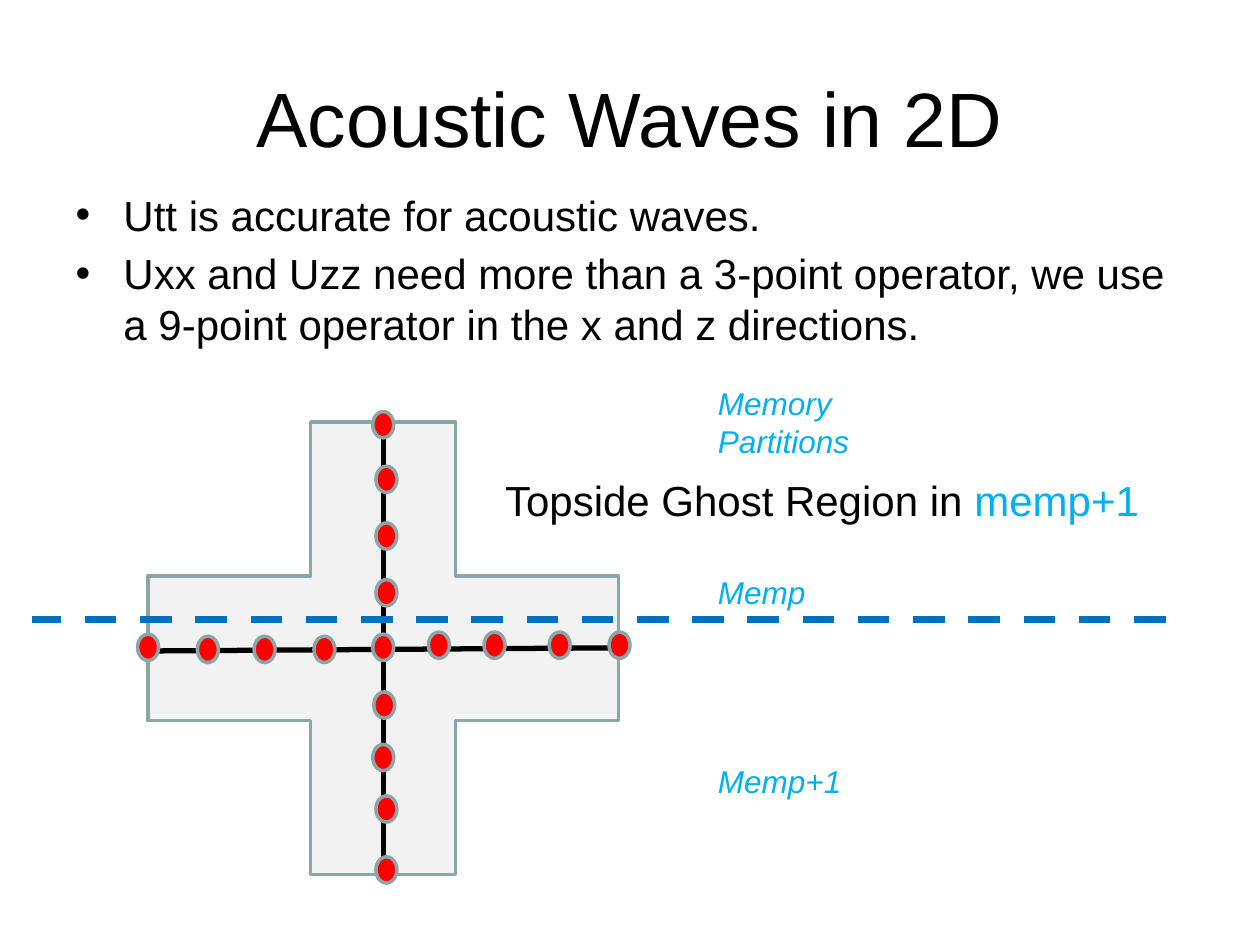
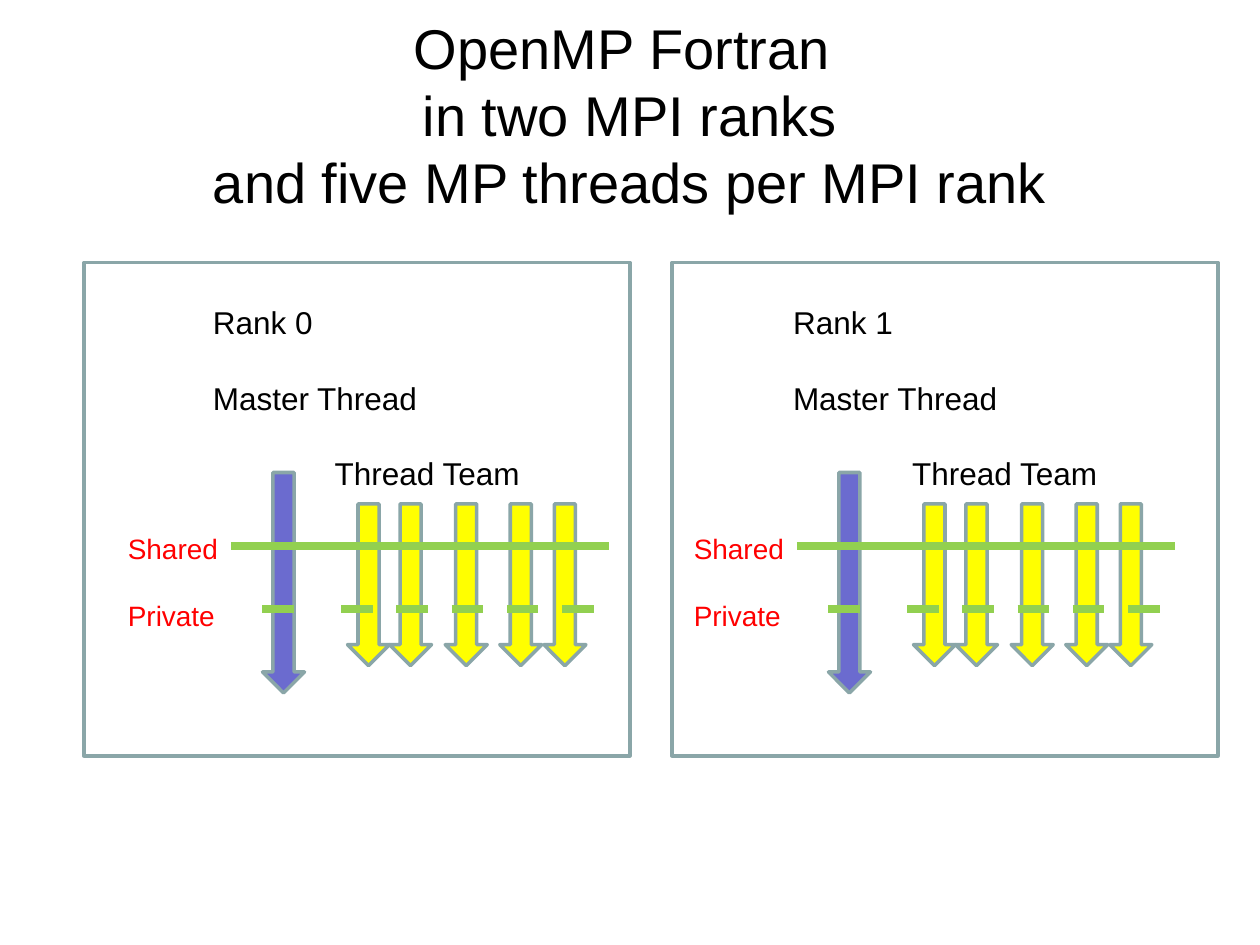
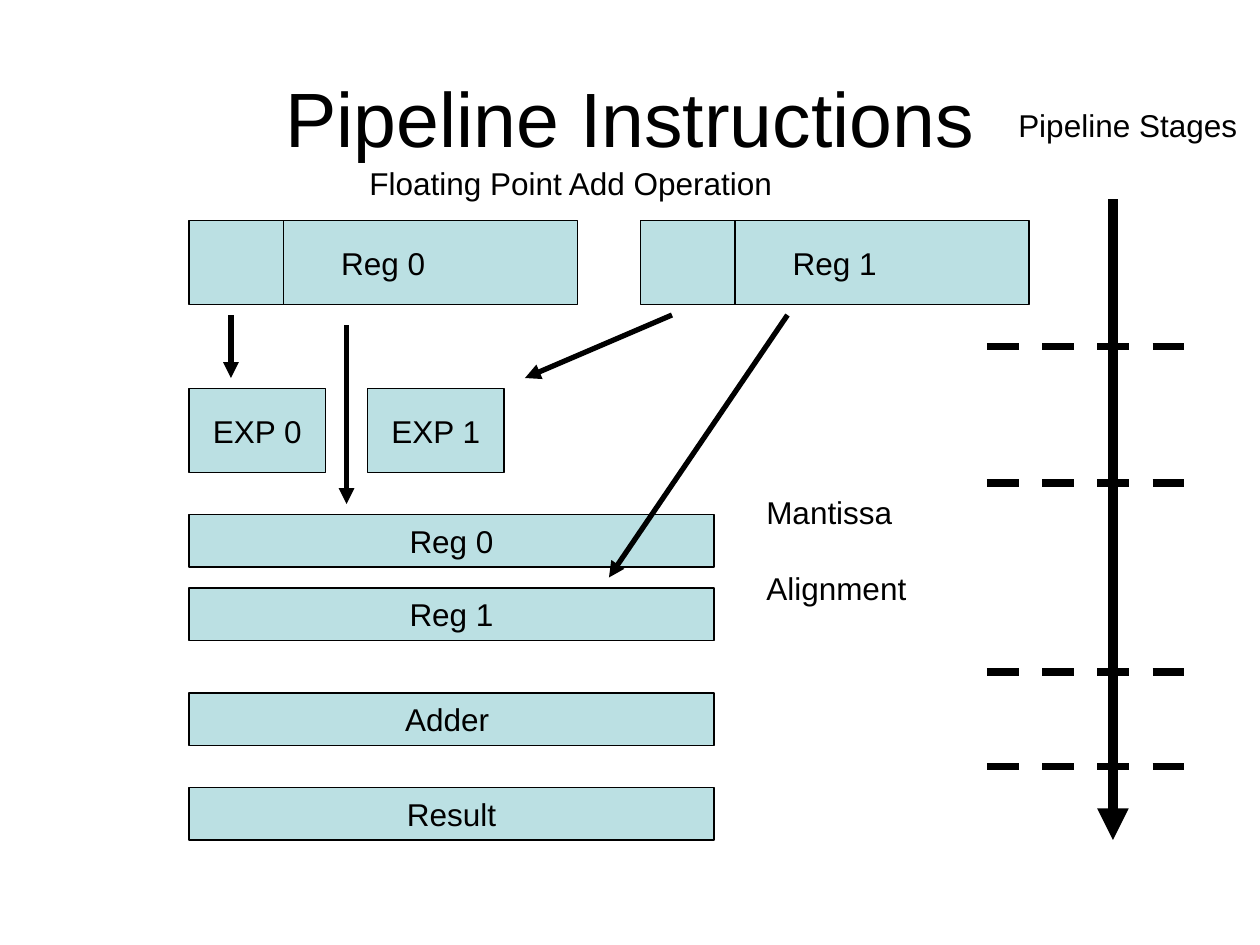
from lxml import etree
from pptx import Presentation
from pptx.dml.color import RGBColor
from pptx.enum.dml import MSO_LINE
from pptx.enum.shapes import MSO_CONNECTOR, MSO_SHAPE
from pptx.enum.text import MSO_ANCHOR, MSO_AUTO_SIZE, PP_ALIGN
from pptx.oxml.ns import qn
from pptx.util import Inches, Pt

COLOURS = {
    "ink": "000000", "outline": "8AA6A8", "stencil": "F2F2F2", "point": "FF0000",
    "memory": "00B0F0", "partition": "0070C0", "master": "6B6BCF", "team": "FFFF00",
    "data": "92D050", "register": "BBE0E3",
}
FONT = "Arial"
CELL = Inches(1) / 12
COLUMNS, ROWS = 120, 90
LINE_HEIGHT = 1.2
TITLE_AND_BODY, TITLE_ONLY = 1, 5
RECTANGLE, OVAL = MSO_SHAPE.RECTANGLE, MSO_SHAPE.OVAL
PLUS, DOWN_ARROW = MSO_SHAPE.MATH_PLUS, MSO_SHAPE.DOWN_ARROW
STRAIGHT, DASH = MSO_CONNECTOR.STRAIGHT, MSO_LINE.DASH
LEFT, CENTRE = PP_ALIGN.LEFT, PP_ALIGN.CENTER
TOP, MIDDLE = MSO_ANCHOR.TOP, MSO_ANCHOR.MIDDLE
NO_FIT = MSO_AUTO_SIZE.NONE


def cells(*counts):
    """Turn numbers of grid cells into lengths."""
    return [round(count * CELL) for count in counts]


def colour(name):
    """Look up a colour by name."""
    return RGBColor.from_string(COLOURS[name])


def place(shape, area):
    """Move a shape to an area of the grid."""
    shape.left, shape.top, shape.width, shape.height = cells(*area)


def style(para, size, ink="ink", align=LEFT, before=0, italic=False):
    """Set the font, alignment and space before of a paragraph."""
    para.alignment = align
    para.space_before = Pt(before)
    para.font.name, para.font.size = FONT, Pt(size)
    para.font.bold, para.font.italic = False, italic
    para.font.color.rgb = colour(ink)


def add_paragraph(frame, index):
    """Return the first paragraph of a frame, or a new one after it."""
    return frame.add_paragraph() if index else frame.paragraphs[0]


def add_page(deck, layout, title, size=44, top=3.6):
    """Add a slide with its title formatted."""
    page = deck.slides.add_slide(deck.slide_layouts[layout])
    place(page.shapes.title, (6, top, 108, 15))
    frame = page.shapes.title.text_frame
    frame.auto_size, frame.vertical_anchor = NO_FIT, MIDDLE
    frame.paragraphs[0].text = title
    style(frame.paragraphs[0], size, align=CENTRE)
    return page


def add_text(page, area, lines, size=18, ink="ink", italic=False, wrap=True, tabs=()):
    """Add a text box from pairs of text and number of lines skipped before it."""
    frame = page.shapes.add_textbox(*cells(*area)).text_frame
    frame.word_wrap = wrap
    for index, (text, skipped) in enumerate(lines):
        para = add_paragraph(frame, index)
        para.text = text
        if tabs:
            stops = etree.SubElement(para._p.get_or_add_pPr(), qn("a:tabLst"))
            for stop in cells(*tabs):
                etree.SubElement(stops, qn("a:tab"), pos=str(stop), algn="l")
        style(para, size, ink, before=skipped * size * LINE_HEIGHT, italic=italic)


def add_figure(page, kind, area, fill=None, line="outline", width=2):
    """Add a preset shape with a plain fill and outline."""
    shape = page.shapes.add_shape(kind, *cells(*area))
    shape.shadow.inherit = False
    if fill:
        shape.fill.solid()
        shape.fill.fore_color.rgb = colour(fill)
    else:
        shape.fill.background()
    shape.line.color.rgb = colour(line)
    shape.line.width = Pt(width)
    return shape


def add_register(page, area, label):
    """Add a labelled hardware box."""
    box = add_figure(page, RECTANGLE, area, "register", "ink", 0.75)
    frame = box.text_frame
    frame.word_wrap, frame.vertical_anchor = False, MIDDLE
    frame.paragraphs[0].text = label
    style(frame.paragraphs[0], 18, align=CENTRE)


def add_line(page, start, end, width, ink="ink", dashed=False, arrow=False):
    """Add a straight line, dashed or with an arrowhead at its end if asked."""
    line = page.shapes.add_connector(STRAIGHT, *cells(*start, *end))
    line.line.color.rgb = colour(ink)
    line.line.width = Pt(width)
    if dashed:
        line.line.dash_style = DASH
    properties = line._element.spPr
    if arrow:
        etree.SubElement(properties.find(qn("a:ln")), qn("a:tailEnd"), type="triangle")
    etree.SubElement(properties, qn("a:effectLst"))


def fill_body(page):
    """Write the two bullets and the ghost region note in the body."""
    body = page.placeholders[1]
    place(body, (6, 17.4, 108, 63))
    frame = body.text_frame
    frame.auto_size, frame.vertical_anchor = NO_FIT, TOP
    items = (
        ("Utt is accurate for acoustic waves.", 0, 4.56, -4.56),
        ("Uxx and Uzz need more than a 3-point operator, we use a 9-point operator "
         "in the x and z directions.", 4.8, 4.56, -4.56),
        ("Topside Ghost Region in ", 72, 40.9, 0),
    )
    for index, (text, before, margin, indent) in enumerate(items):
        para = add_paragraph(frame, index)
        para.text = text
        properties = para._p.get_or_add_pPr()
        for name, length in zip(("marL", "indent"), cells(margin, indent)):
            properties.set(name, str(length))
        if not indent:
            etree.SubElement(properties, qn("a:buNone"))
        style(para, 24, before=before)
    span = para.add_run()
    span.text = "memp+1"
    span.font.color.rgb = colour("memory")


def build_waves(deck):
    """Build the slide on the 9-point operator."""
    page = add_page(deck, TITLE_AND_BODY, "Acoustic Waves in 2D")
    fill_body(page)
    add_figure(page, PLUS, (6, 32.4, 61, 58.68), "stencil")
    add_line(page, (14, 62), (59, 61.7), 3)
    add_line(page, (36.5, 83.3), (36.5, 40.2), 3)
    along_x = ((13.1, 60.4), (18.8, 60.6), (24.2, 60.6), (29.9, 60.6), (35.5, 60.4),
               (40.8, 60.2), (46.1, 60.2), (52.3, 60.2), (58, 60.2))
    along_z = ((35.5, 39.2), (35.8, 44.4), (35.8, 49.8), (35.8, 55.2),
               (35.6, 65.9), (35.5, 70.9), (35.8, 75.8), (35.8, 81.6))
    for point in along_x + along_z:
        add_figure(page, OVAL, (*point, 2, 2.5), "point")
    add_line(page, (111, 59), (3, 59), 4.5, "partition", dashed=True)
    add_text(page, (67.2, 36, 17, 41.2),
             (("Memory Partitions", 0), ("Memp", 3), ("Memp+1", 4)),
             ink="memory", italic=True)


def add_rank(page, shift):
    """Add the threads and data lines of one rank, shifted to the right."""
    add_figure(page, DOWN_ARROW, (25 + shift, 45, 4, 21), "master")
    for left in (33.1, 37.1, 42.4, 47.6, 51.8):
        add_figure(page, DOWN_ARROW, (left + shift, 48, 4, 15.4), "team")
    for start, end, row, dashed in ((22, 58, 52, False), (32.5, 57.6, 58, True),
                                    (25, 29, 58, True)):
        add_line(page, (start + shift, row), (end + shift, row), 4.5, "data", dashed)
    add_text(page, (11 + shift, 50, 14, 10.9), (("Shared", 0), ("Private", 1)), 16, "point")


def build_ranks(deck):
    """Build the slide on two ranks with their threads."""
    title = "OpenMP Fortran \vin two MPI ranks\vand five MP threads per MPI rank"
    page = add_page(deck, TITLE_ONLY, title, 32, 3.36)
    for shift in (0, 53.9):
        add_rank(page, shift)
    add_text(page, (19.1, 28.3, 87.6, 19.3),
             (("Rank 0\tRank 1", 0), ("Master Thread\tMaster Thread", 1)),
             tabs=(55.25,))
    add_text(page, (19.1, 42.7, 87.6, 4.8), (("\tThread Team\tThread Team", 0),),
             tabs=(11.6, 66.6))
    for left in (8, 64):
        add_figure(page, RECTANGLE, (left, 25, 52, 47))


def build_pipeline(deck):
    """Build the slide on the stages of a floating point addition."""
    page = add_page(deck, TITLE_ONLY, "Pipeline Instructions")
    for left, label in ((18, "Reg 0"), (61, "Reg 1")):
        add_register(page, (left, 21, 37, 8), label)
        add_line(page, (left + 9, 21), (left + 9, 29), 0.75)
    for left, label in ((18, "EXP 0"), (35, "EXP 1")):
        add_register(page, (left, 37, 13, 8), label)
    for top, label in ((49, "Reg 0"), (56, "Reg 1"), (66, "Adder "), (75, "Result")):
        add_register(page, (18, top, 50, 5), label)
    add_text(page, (34, 15, 53, 4.8), (("Floating Point Add Operation", 0),))
    add_text(page, (71.8, 46.4, 15.7, 12), (("Mantissa", 0), ("Alignment", 1)), wrap=False)
    add_text(page, (95.8, 9.5, 23.3, 4.8), (("Pipeline Stages", 0),), wrap=False)
    add_line(page, (106, 19), (106, 80), 6, arrow=True)
    for row in (33, 46, 64, 73):
        add_line(page, (94, row), (115, row), 4.5, dashed=True)
    for start, end in (((22, 30), (22, 36)), ((64, 30), (50, 36)),
                       ((75, 30), (58, 55)), ((33, 31), (33, 48))):
        add_line(page, start, end, 3, arrow=True)


def main():
    """Build and save the deck."""
    deck = Presentation()
    deck.slide_width, deck.slide_height = cells(COLUMNS, ROWS)
    build_waves(deck)
    build_ranks(deck)
    build_pipeline(deck)
    deck.save("out.pptx")


if __name__ == "__main__":
    main()
